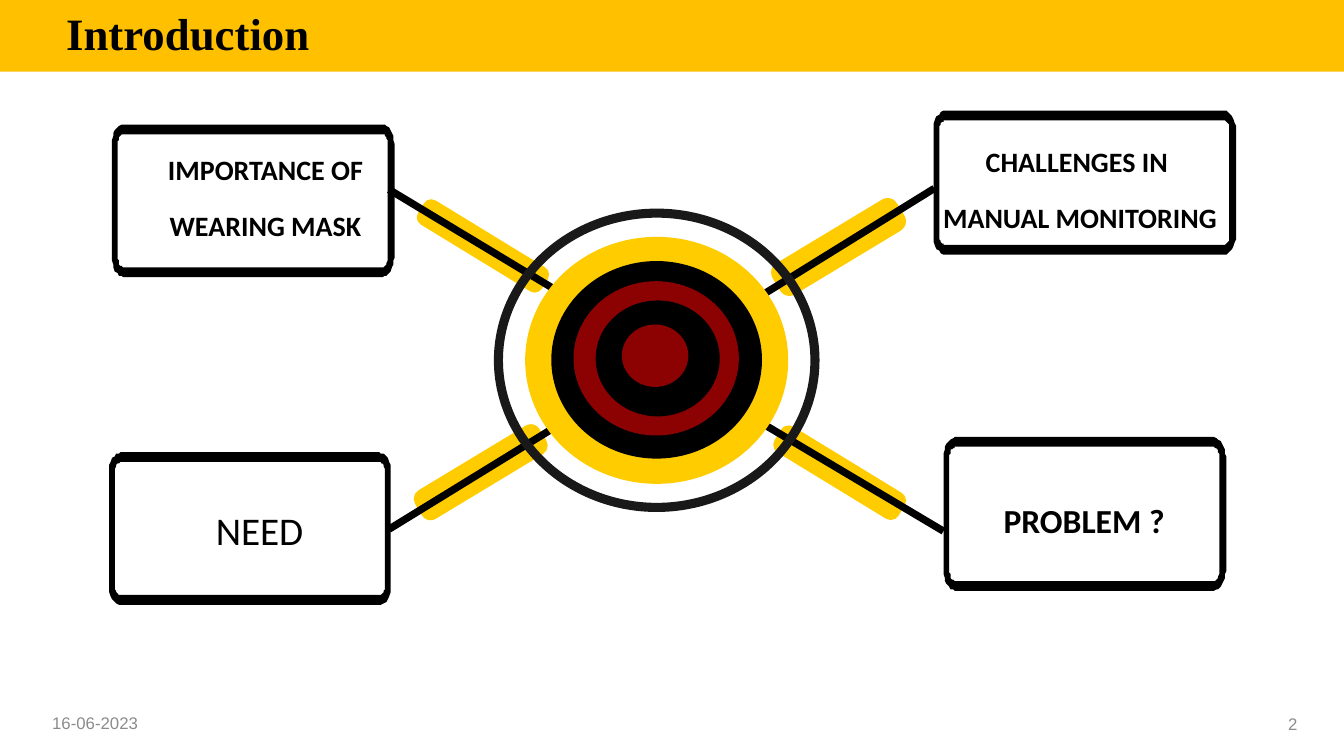
import math

from lxml import etree
from pptx import Presentation
from pptx import util as u
from pptx.dml.color import RGBColor
from pptx.enum import shapes, text
from pptx.oxml import ns

BLACK, YELLOW, RED, GREY = "000000", "FFCC00", "8C0203", "8C8C8C"
BARS = [
    (345, 175.7, 20.2, 31.4),
    (599.8, 337.7, 21.6, 31.4),
    (599, 176.4, 25.9, -31.1),
    (343.4, 337.3, 23.8, -31.1),
]
SPOKES = [
    (277.9, 135.4, 435.6, 230.4),
    (434.9, 281.5, 277.9, 378),
    (673.9, 379.4, 510.5, 282.2),
    (510.5, 231.8, 667.4, 134.6),
]
DISCS = [
    (375.1, 169.2, 187.9, 176.4, YELLOW),
    (393.8, 186.5, 150.5, 141.1, BLACK),
    (409.7, 200.9, 118.1, 110.2, RED),
    (425.5, 214.6, 88.6, 82.8, BLACK),
    (444.2, 231.8, 47.5, 44.6, RED),
]
FRAMES = [
    (79.9, 88.6, 201.6, 109.1),
    (666.7, 79.2, 216, 102.6),
    (77.8, 323.3, 201.6, 108.7),
    (673.9, 312.5, 201.6, 109.1),
]
LABELS = [
    (["IMPORTANCE OF WEARING MASK"], (113, 92.9, 153.4, 76.3), 20, True),
    (["CHALLENGES IN ", "MANUAL MONITORING"], (667.4, 87.1, 208.1, 75.6), 20, True),
    (["NEED"], (115.2, 355, 140.4, 37.4), 28, False),
    (["PROBLEM ?"], (677.5, 345.6, 193.7, 36.7), 24, True),
]


def color(value):
    """Turn a hex string into a colour."""
    return RGBColor.from_string(value)


def points(*lengths):
    """Turn numbers into lengths in points."""
    return [u.Pt(length) for length in lengths]


def paint(shape, fill):
    """Give a shape a flat fill without line or shadow."""
    shape.shadow.inherit = False
    shape.fill.solid()
    shape.fill.fore_color.rgb = color(fill)
    shape.line.fill.background()
    return shape


def add_preset(slide, kind, box, fill):
    """Add a flat preset shape."""
    return paint(slide.shapes.add_shape(kind, *points(*box)), fill)


def add_run(paragraph, words, font, size, fill, bold=False):
    """Add one formatted run."""
    run = paragraph.add_run()
    run.text = words
    run.font.name, run.font.size, run.font.bold = font, u.Pt(size), bold
    run.font.color.rgb = color(fill)


def add_title(slide, words):
    """Fill the title placeholder and lay the banner behind it."""
    title = slide.shapes.title
    title.left, title.top, title.width, title.height = points(0, 0, 828, 51.1)
    frame = title.text_frame
    frame.vertical_anchor = text.MSO_ANCHOR.MIDDLE
    frame.margin_left = u.Pt(47.2)
    paragraph = frame.paragraphs[0]
    paragraph.alignment = text.PP_ALIGN.LEFT
    paragraph.line_spacing = 0.9
    add_run(paragraph, words, "Times New Roman", 32, BLACK, True)
    banner = add_preset(slide, shapes.MSO_SHAPE.RECTANGLE, (0, 0, 960, 51.1), "FFC000")
    title.element.addprevious(banner.element)


def add_footer(slide, words, box, alignment):
    """Add a small grey footer text."""
    frame = slide.shapes.add_textbox(*points(*box)).text_frame
    frame.word_wrap = True
    frame.vertical_anchor = text.MSO_ANCHOR.MIDDLE
    frame.paragraphs[0].alignment = alignment
    add_run(frame.paragraphs[0], words, "Arial", 12, GREY)


def add_bar(slide, center_x, center_y, thickness, angle):
    """Add a tilted rounded bar around its centre."""
    length = 103.7
    box = (center_x - length / 2, center_y - thickness / 2, length, thickness)
    bar = add_preset(slide, shapes.MSO_SHAPE.ROUNDED_RECTANGLE, box, YELLOW)
    bar.adjustments[0] = 0.3
    bar.rotation = angle


def add_spoke(slide, *ends):
    """Add a thick straight line."""
    spoke = slide.shapes.add_connector(shapes.MSO_CONNECTOR.STRAIGHT, *points(*ends))
    spoke.line.color.rgb = color(BLACK)
    spoke.line.width = u.Pt(5.25)
    etree.SubElement(spoke.element.spPr, ns.qn("a:effectLst"))


def rounded_outline(left, top, width, height, radius_x, radius_y):
    """List the points of a rectangle with elliptical corners."""
    right, bottom = left + width, top + height
    corners = [
        (right - radius_x, bottom - radius_y),
        (left + radius_x, bottom - radius_y),
        (left + radius_x, top + radius_y),
        (right - radius_x, top + radius_y),
    ]
    outline = []
    for quarter, (x, y) in enumerate(corners):
        for step in range(9):
            angle = math.radians(90 * quarter + 90 * step / 8)
            outline.append((x + radius_x * math.cos(angle), y + radius_y * math.sin(angle)))
    return outline


def add_frame(slide, left, top, width, height):
    """Add a hollow rounded frame with thin sides."""
    side, edge = 4.3, 6.9
    outer = rounded_outline(left, top, width, height, 8.6, 14)
    inner = rounded_outline(
        left + side, top + edge, width - 2 * side, height - 2 * edge, 4.3, 7.1
    )[::-1]
    builder = slide.shapes.build_freeform(*outer[0], scale=u.Pt(1))
    builder.add_line_segments(outer[1:])
    builder.move_to(*inner[0])
    builder.add_line_segments(inner[1:])
    paint(builder.convert_to_shape(), BLACK)


def add_label(slide, lines, box, size, bold):
    """Add a centred label with fixed line pitch."""
    frame = slide.shapes.add_textbox(*points(*box)).text_frame
    frame.word_wrap = True
    frame.margin_left = frame.margin_right = frame.margin_top = frame.margin_bottom = 0
    for index, line in enumerate(lines):
        paragraph = frame.add_paragraph() if index else frame.paragraphs[0]
        paragraph.alignment = text.PP_ALIGN.CENTER
        paragraph.line_spacing = u.Pt(40.2)
        add_run(paragraph, line, "Calibri", size, BLACK, bold)


def main():
    """Build the slide and save it."""
    presentation = Presentation()
    presentation.slide_width, presentation.slide_height = points(960, 540)
    slide = presentation.slides.add_slide(presentation.slide_layouts[5])
    add_title(slide, "Introduction")
    add_footer(slide, "2", (717.8, 502.6, 216, 28.8), text.PP_ALIGN.RIGHT)
    add_footer(slide, "16-06-2023", (30.2, 501.8, 216, 28.8), text.PP_ALIGN.LEFT)
    for bar in BARS:
        add_bar(slide, *bar)
    for spoke in SPOKES:
        add_spoke(slide, *spoke)
    ring = add_preset(slide, shapes.MSO_SHAPE.DONUT, (352.8, 149, 232.6, 216.7), "191919")
    ring.adjustments[0] = 0.03
    for *box, fill in DISCS:
        add_preset(slide, shapes.MSO_SHAPE.OVAL, box, fill)
    for frame in FRAMES:
        add_frame(slide, *frame)
    for label in LABELS:
        add_label(slide, *label)
    presentation.save("out.pptx")


if __name__ == "__main__":
    main()
